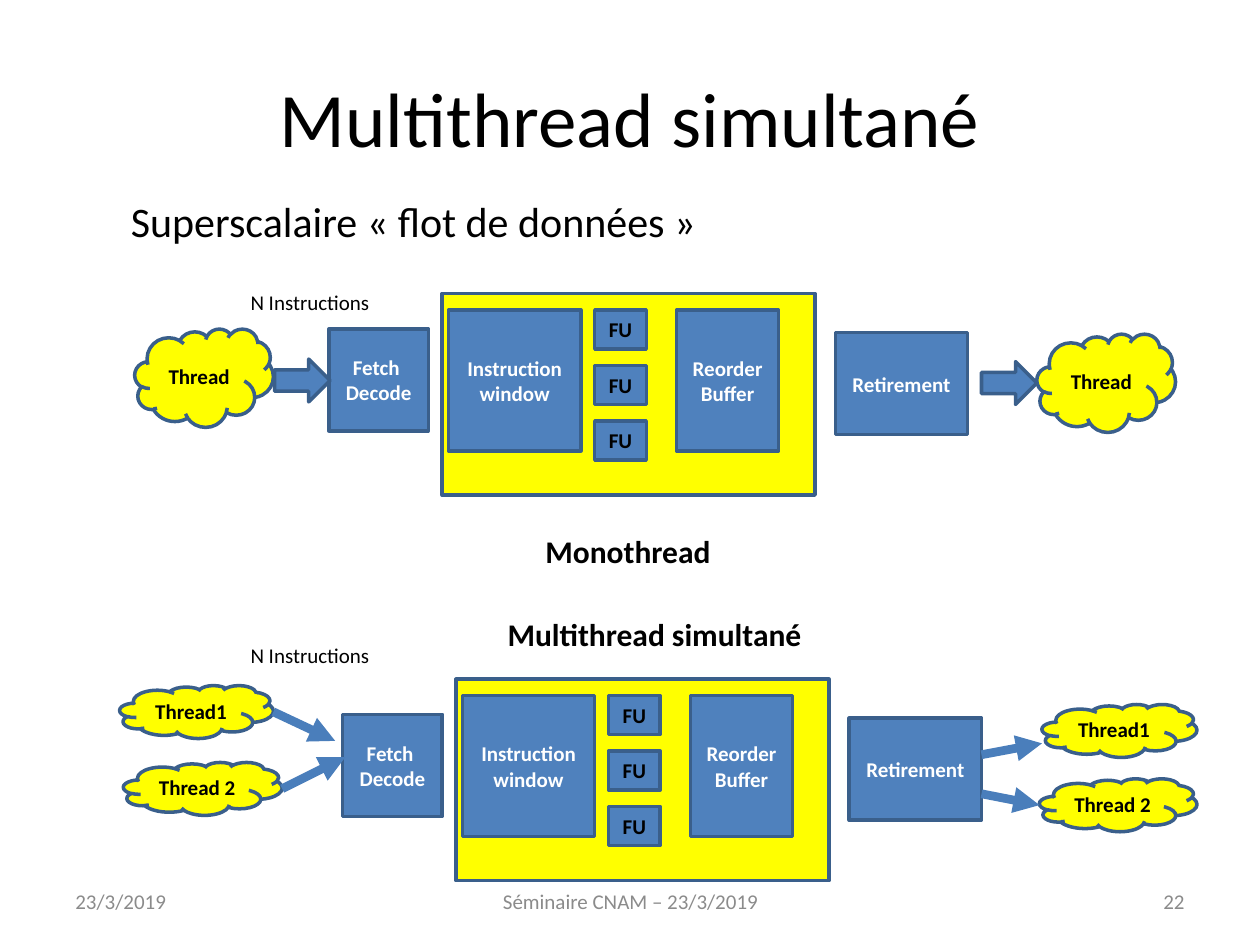
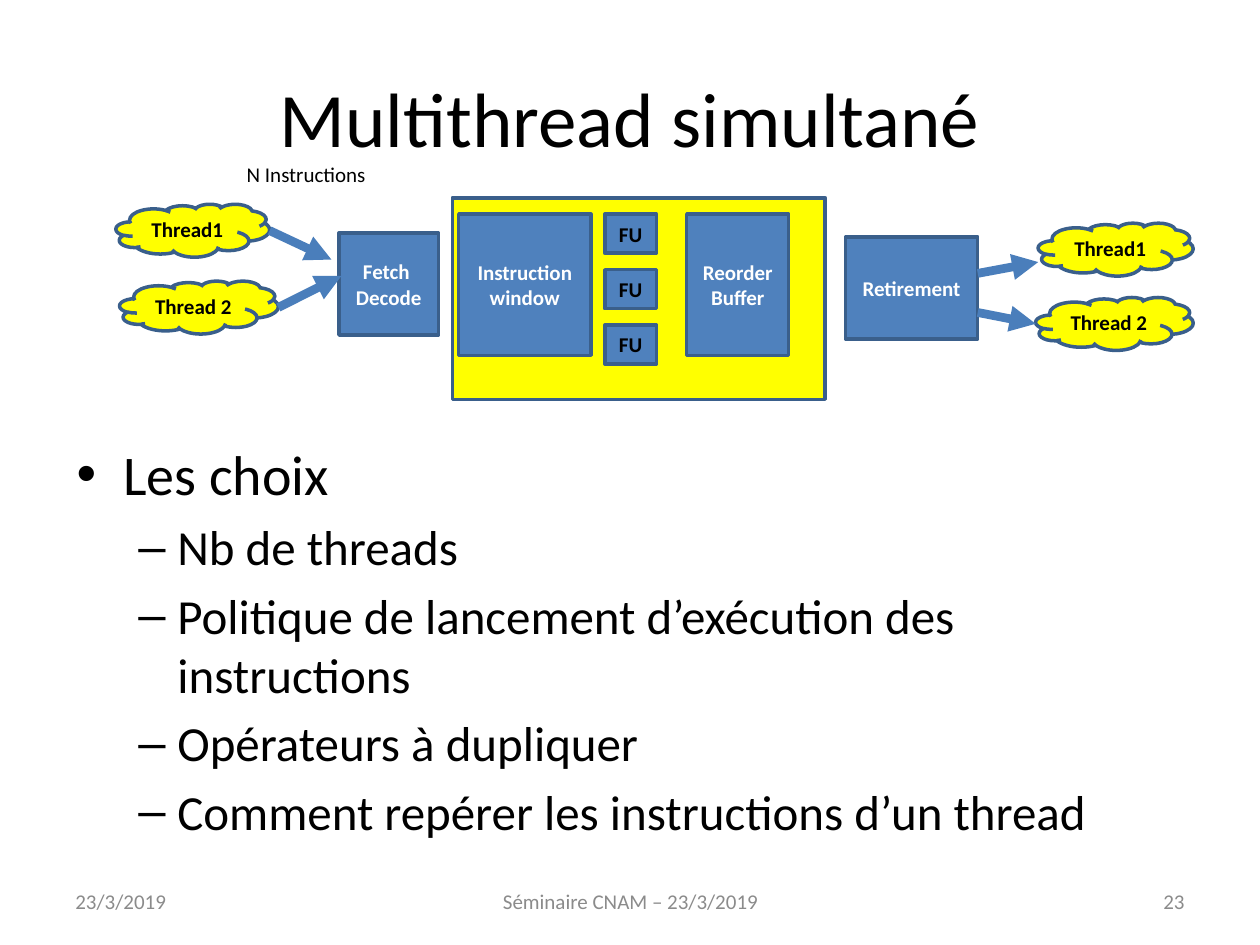
from lxml.etree import SubElement
from pptx import Presentation
from pptx.dml.color import RGBColor
from pptx.enum.shapes import MSO_CONNECTOR, MSO_SHAPE
from pptx.enum.text import MSO_ANCHOR, MSO_AUTO_SIZE, PP_ALIGN
from pptx.oxml.ns import qn
from pptx.util import Inches, Pt

COLORS = {
    "text": "000000",
    "stage_text": "FFFFFF",
    "footer": "8B8B8B",
    "stage": "4F81BD",
    "highlight": "FFFF00",
    "outline": "3A5F8B",
    "flow": "4A7EBB",
}
FONT = "Calibri"
TITLE = "Multithread simultané"


def rgb(name):
    return RGBColor.from_string(COLORS[name])


def write(frame, text, size=12, color="text", bold=False, align=PP_ALIGN.LEFT,
          anchor=MSO_ANCHOR.TOP, wrap=True):
    frame.word_wrap = wrap
    frame.auto_size = MSO_AUTO_SIZE.NONE if wrap else MSO_AUTO_SIZE.SHAPE_TO_FIT_TEXT
    frame.vertical_anchor = anchor
    for index, line in enumerate(text.split("\n")):
        paragraph = frame.paragraphs[0] if index == 0 else frame.add_paragraph()
        paragraph.alignment = align
        run = paragraph.add_run()
        run.text = line
        run.font.name = FONT
        run.font.size = Pt(size)
        run.font.bold = bold
        run.font.color.rgb = rgb(color)


def add_label(shapes, text, left, top, width, height, **style):
    label = shapes.add_textbox(Inches(left), Inches(top), Inches(width), Inches(height))
    write(label.text_frame, text, **style)
    return label


def add_block(shapes, left, top, width, height, text="", preset=MSO_SHAPE.RECTANGLE,
              fill="stage", color="stage_text"):
    block = shapes.add_shape(preset, Inches(left), Inches(top), Inches(width), Inches(height))
    block.shadow.inherit = False
    block.fill.solid()
    block.fill.fore_color.rgb = rgb(fill)
    block.line.color.rgb = rgb("outline")
    block.line.width = Pt(2)
    if text:
        write(block.text_frame, text, color=color, bold=True,
              align=PP_ALIGN.CENTER, anchor=MSO_ANCHOR.MIDDLE)


def add_thread(shapes, text, left, top, width, height):
    add_block(shapes, left, top, width, height, text, MSO_SHAPE.CLOUD, "highlight", "text")


def add_flow(shapes, x1, y1, x2, y2):
    flow = shapes.add_connector(MSO_CONNECTOR.STRAIGHT, Inches(x1), Inches(y1),
                                Inches(x2), Inches(y2))
    flow.line.color.rgb = rgb("flow")
    flow.line.width = Pt(5)
    SubElement(flow.line._get_or_add_ln(), qn("a:tailEnd"), type="triangle")
    SubElement(flow._element.spPr, qn("a:effectLst"))


def add_pipeline(shapes, left, top):
    add_block(shapes, left, top, 2.96, 1.6, fill="highlight")
    add_block(shapes, left - 0.9, top + 0.28, 0.79, 0.81, "Fetch \nDecode")
    add_block(shapes, left + 0.05, top + 0.13, 1.05, 1.12, "Instruction window")
    for unit in range(3):
        add_block(shapes, left + 1.21, top + 0.13 + 0.44 * unit, 0.41, 0.31, "FU", color="text")
    add_block(shapes, left + 1.86, top + 0.13, 0.81, 1.12, "Reorder\nBuffer")
    add_block(shapes, left + 3.12, top + 0.31, 1.05, 0.81, "Retirement")


def add_instruction_count(shapes, left, top):
    add_label(shapes, "N Instructions", left, top, 1.14, 0.3, wrap=False)


def add_monothread(slide, left, top):
    shapes = slide.shapes.add_group_shape().shapes
    add_pipeline(shapes, left, top)
    for thread_dx, thread_dy, arrow_dx, arrow_dy in [(-2.44, 0.28, -1.33, 0.52),
                                                     (4.72, 0.32, 4.28, 0.54)]:
        add_thread(shapes, "Thread", left + thread_dx, top + thread_dy, 1.1, 0.78)
        add_block(shapes, left + arrow_dx, top + arrow_dy, 0.44, 0.34,
                  preset=MSO_SHAPE.RIGHT_ARROW)
    add_instruction_count(shapes, left - 1.62, top - 0.08)


def add_multithread(slide, left, top):
    shapes = slide.shapes.add_group_shape().shapes
    add_pipeline(shapes, left, top)
    add_instruction_count(shapes, left - 1.73, top - 0.34)
    for name, dx, dy, width in [("Thread1", -2.67, 0.05, 1.22), ("Thread 2", -2.64, 0.66, 1.26),
                                ("Thread1", 4.65, 0.2, 1.23), ("Thread 2", 4.63, 0.79, 1.25)]:
        add_thread(shapes, name, left + dx, top + dy, width, 0.42)
    for x1, y1, x2, y2 in [(-1.45, 0.26, -0.96, 0.49), (-1.38, 0.87, -0.88, 0.62),
                           (4.17, 0.6, 4.65, 0.51), (4.17, 0.91, 4.63, 1.0)]:
        add_flow(shapes, left + x1, top + y1, left + x2, top + y2)


def set_bullet(paragraph, mark, level, margin, indent, space):
    paragraph.level = level
    paragraph.space_before = Pt(space)
    properties = paragraph._p.get_or_add_pPr()
    properties.set("marL", str(Inches(margin)))
    properties.set("indent", str(Inches(indent)))
    SubElement(properties, qn("a:buFont"), typeface="Arial")
    SubElement(properties, qn("a:buChar"), char=mark)


def add_choices(slide, heading, choices):
    box = add_label(slide.shapes, "\n".join([heading, *choices]), 0.5, 3.44, 9, 3.68, size=28)
    first, *others = box.text_frame.paragraphs
    first.runs[0].font.size = Pt(32)
    set_bullet(first, "•", 0, 0.38, -0.37, 6.4)
    for choice in others:
        set_bullet(choice, "–", 1, 0.81, -0.31, 5.6)


def add_slide(deck, number):
    slide = deck.slides.add_slide(deck.slide_layouts[6])
    add_label(slide.shapes, TITLE, 0.5, 0.3, 9, 1.25, size=44,
              align=PP_ALIGN.CENTER, anchor=MSO_ANCHOR.MIDDLE)
    for text, left, width, align in [("23/3/2019", 0.5, 2.33, PP_ALIGN.LEFT),
                                     ("Séminaire CNAM – 23/3/2019", 3.42, 3.17, PP_ALIGN.CENTER),
                                     (str(number), 7.17, 2.33, PP_ALIGN.RIGHT)]:
        add_label(slide.shapes, text, left, 6.95, width, 0.4, color="footer",
                  align=align, anchor=MSO_ANCHOR.MIDDLE)
    return slide


def main():
    deck = Presentation()
    deck.slide_width, deck.slide_height = Inches(10), Inches(7.5)

    comparison = add_slide(deck, 22)
    add_monothread(comparison, 3.51, 2.33)
    add_multithread(comparison, 3.62, 5.39)
    add_label(comparison.shapes, "Superscalaire « flot de données »", 0.94, 1.5, 4.76, 0.5,
              size=24, wrap=False)
    add_label(comparison.shapes, "Monothread", 4.23, 4.17, 1.51, 0.4,
              size=18, bold=True, wrap=False)
    add_label(comparison.shapes, TITLE, 3.93, 4.83, 2.56, 0.4, size=18, bold=True, wrap=False)

    design = add_slide(deck, 23)
    add_choices(design, "Les choix", [
        "Nb de threads",
        "Politique de lancement d’exécution des instructions",
        "Opérateurs à dupliquer",
        "Comment repérer les instructions d’un thread",
    ])
    add_multithread(design, 3.59, 1.57)

    deck.save("out.pptx")


if __name__ == "__main__":
    main()
